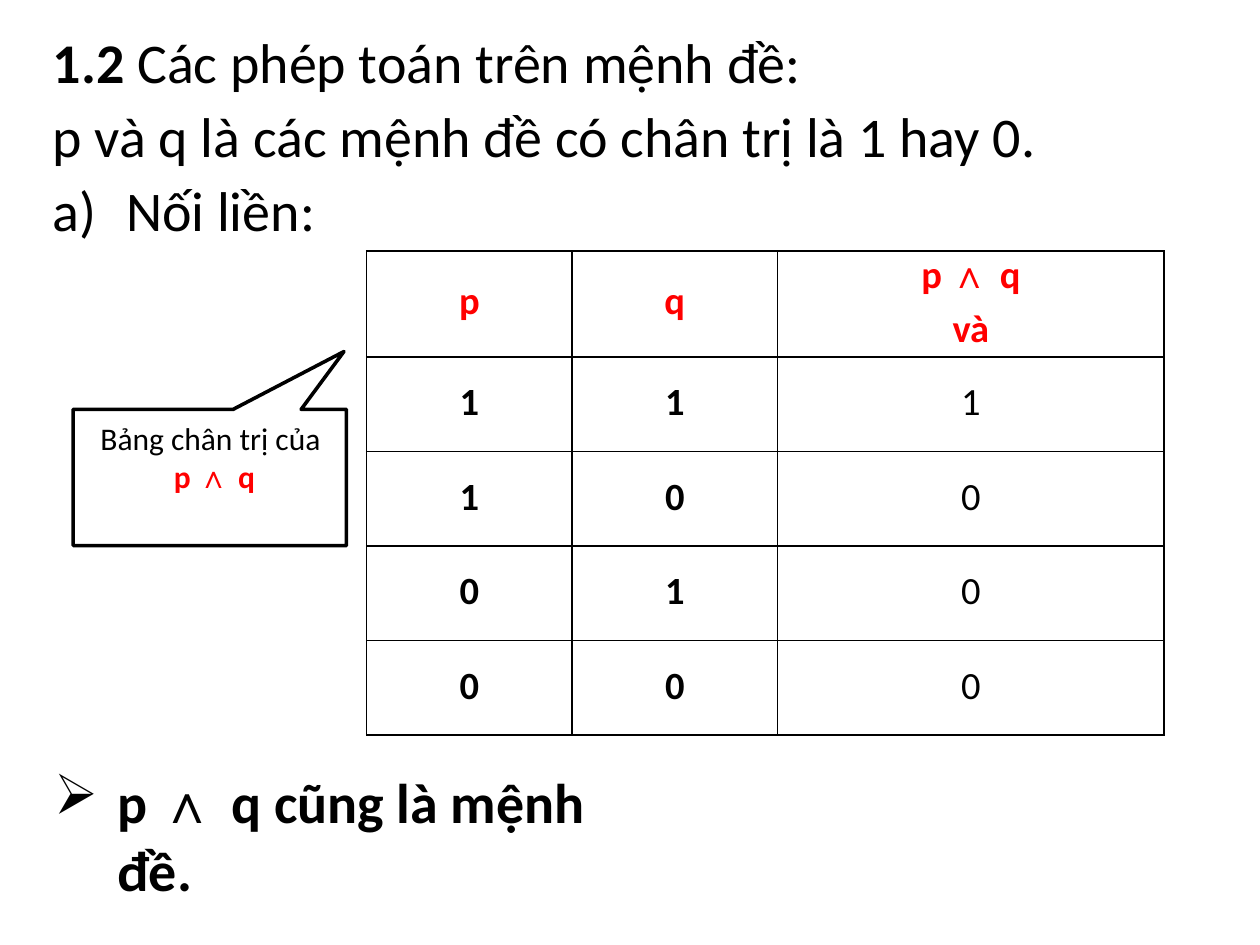
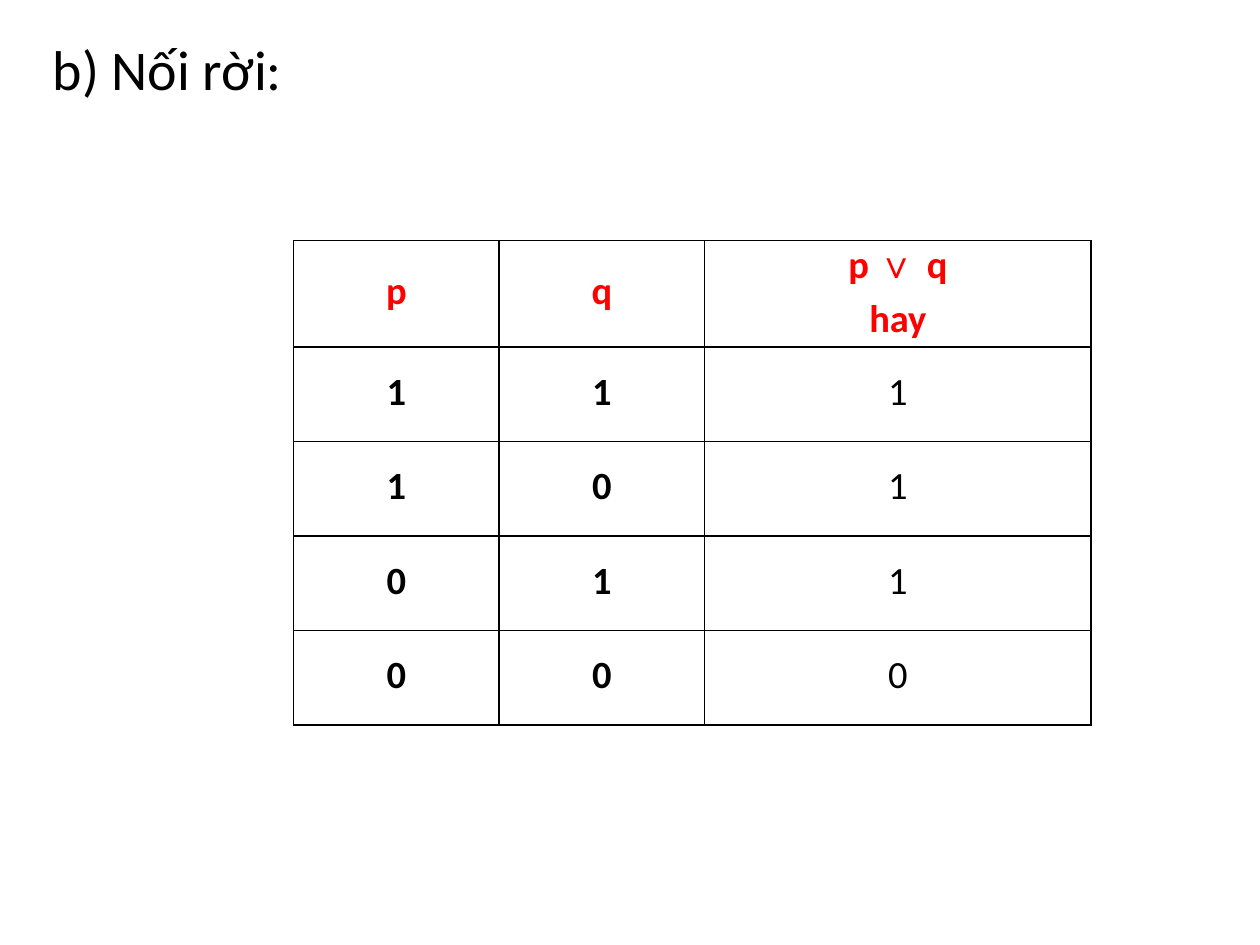
from lxml import etree
from pptx import Presentation
from pptx.dml.color import RGBColor
from pptx.enum.text import PP_ALIGN
from pptx.oxml.ns import qn
from pptx.util import Pt

BLACK = RGBColor(0, 0, 0)
RED = RGBColor(255, 0, 0)
FONT, SIGN_FONT = "Calibri", "Arial"
CENTER = PP_ALIGN.CENTER
AND, OR = "∧ ", "∨ "
HEAD, CELL, NOTE = 32, 22, 18
COLS = [117.4, 117.4, 221]
ROWS = [60.8, 54, 54, 54, 54]
PAIRS = [(1, 1), (1, 0), (0, 1), (0, 0)]


def write(par, size, parts, color=BLACK):
    """Add (text, bold) runs; a logic sign gets its own font."""
    for text, bold in parts:
        run = par.add_run()
        run.text = text
        font = run.font
        font.size, font.bold = Pt(size), bold
        font.name = SIGN_FONT if text in (AND, OR) else FONT
        font.color.rgb = color


def add_box(slide, left, top, width, height, inset=1):
    frame = slide.shapes.add_textbox(
        Pt(left), Pt(top), Pt(width), Pt(height)).text_frame
    frame.word_wrap = True
    frame.margin_left = frame.margin_right = frame.margin_bottom = 0
    frame.margin_top = Pt(inset)
    return frame


deck = Presentation()
deck.slide_width, deck.slide_height = Pt(720), Pt(540)
blank = deck.slide_layouts[6]
first, second = [deck.slides.add_slide(blank) for _ in range(2)]

# Headings
frame = add_box(first, 30.2, 10.8, 564.5, 86.4, 5)
write(frame.paragraphs[0], HEAD,
      [("1.2 ", True), ("Các phép toán trên mệnh đề:", False)])
par = frame.add_paragraph()
par.space_before = Pt(3.9)
write(par, HEAD, [("p và q là các mệnh đề có chân trị là 1 hay 0.", False)])

par = add_box(first, 30.2, 99.4, 150.5, 40.3).paragraphs[0]
tabs = etree.SubElement(par._p.get_or_add_pPr(), qn("a:tabLst"))
etree.SubElement(tabs, qn("a:tab"), pos=str(Pt(41.8)), algn="l")
write(par, HEAD, [("a)\tNối liền:", False)])

par = add_box(second, 30.2, 18.7, 140, 40.3).paragraphs[0]
write(par, HEAD, [("b) Nối rời:", False)])

# Truth tables
tables = [
    (first, 209.5, 143.3, AND, "và", [1, 0, 0, 0]),
    (second, 167.8, 137.5, OR, "hay", [1, 1, 1, 0]),
]
for slide, left, top, sign, word, results in tables:
    table = slide.shapes.add_table(
        len(ROWS), len(COLS), Pt(left), Pt(top),
        Pt(sum(COLS)), Pt(sum(ROWS))).table
    for col, width in zip(table.columns, COLS):
        col.width = Pt(width)
    for row, height in zip(table.rows, ROWS):
        row.height = Pt(height)

    grid = [("p", "q", "")] + [
        (*pair, result) for pair, result in zip(PAIRS, results)]
    for r, values in enumerate(grid):
        for c, value in enumerate(values):
            cell = table.cell(r, c)
            cell.margin_left = cell.margin_right = cell.margin_bottom = 0
            cell.margin_top = Pt(12.5 if r else 15.8)
            props = cell._tc.get_or_add_tcPr()
            for side in ("lnL", "lnR", "lnT", "lnB"):
                line = etree.SubElement(
                    props, qn("a:" + side), w=str(Pt(1)))
                fill = etree.SubElement(line, qn("a:solidFill"))
                etree.SubElement(fill, qn("a:srgbClr"), val=str(BLACK))
            cell.fill.background()
            par = cell.text_frame.paragraphs[0]
            par.alignment = CENTER
            if value != "":
                write(par, CELL, [(str(value), c < 2)], BLACK if r else RED)

    cell = table.cell(0, 2)
    cell.margin_top = Pt(0.8)
    write(cell.text_frame.paragraphs[0], CELL,
          [("p ", True), (sign, False), ("q", True)], RED)
    par = cell.text_frame.add_paragraph()
    par.alignment, par.space_before = CENTER, Pt(4)
    write(par, CELL, [(word, True)], RED)

# Callout beside the first table
points = [(41.8, 234), (133.2, 234), (196.6, 200.9), (172.1, 234),
          (198, 234), (198, 311.8), (41.8, 311.8)]
points = [(Pt(x), Pt(y)) for x, y in points]
path = first.shapes.build_freeform(*points[0])
path.add_line_segments(points[1:], close=True)
callout = path.convert_to_shape()
callout.shadow.inherit = False
callout.fill.background()
callout.line.color.rgb = BLACK
callout.line.width = Pt(2.04)

frame = add_box(first, 56.2, 238.3, 128.2, 45.4)
par = frame.paragraphs[0]
par.alignment = CENTER
write(par, NOTE, [("Bảng chân trị của", False)])
par = frame.add_paragraph()
par.alignment = CENTER
par._p.get_or_add_pPr().set("marL", str(Pt(4.3)))
write(par, NOTE, [("p ", True), (AND, False), ("q", True)], RED)

# Conclusion
par = add_box(first, 30.2, 437.8, 341.3, 40.3).paragraphs[0]
props = par._p.get_or_add_pPr()
props.set("marL", str(Pt(36.7)))
props.set("indent", str(Pt(-36)))
etree.SubElement(props, qn("a:buChar"), char="➢")
write(par, HEAD, [("p ", True), (AND, False), ("q cũng là mệnh đề.", True)])

deck.save("out.pptx")
